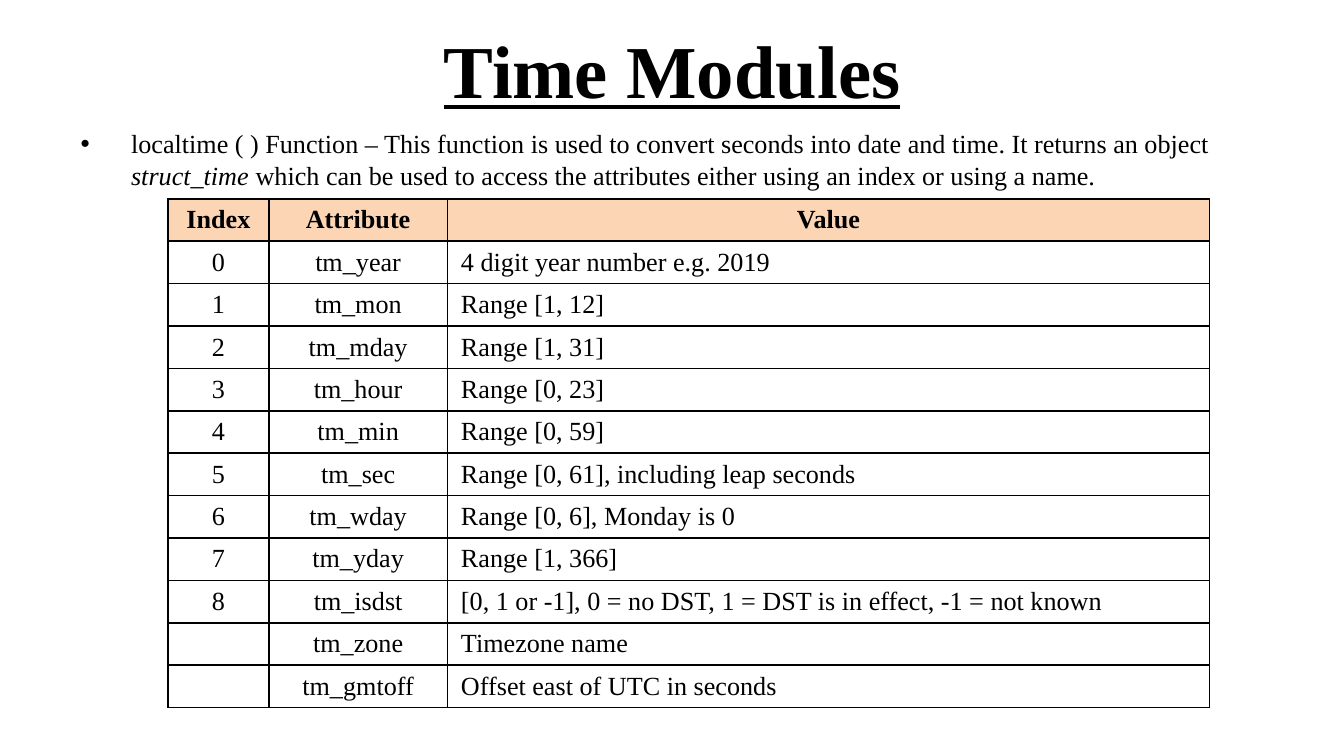
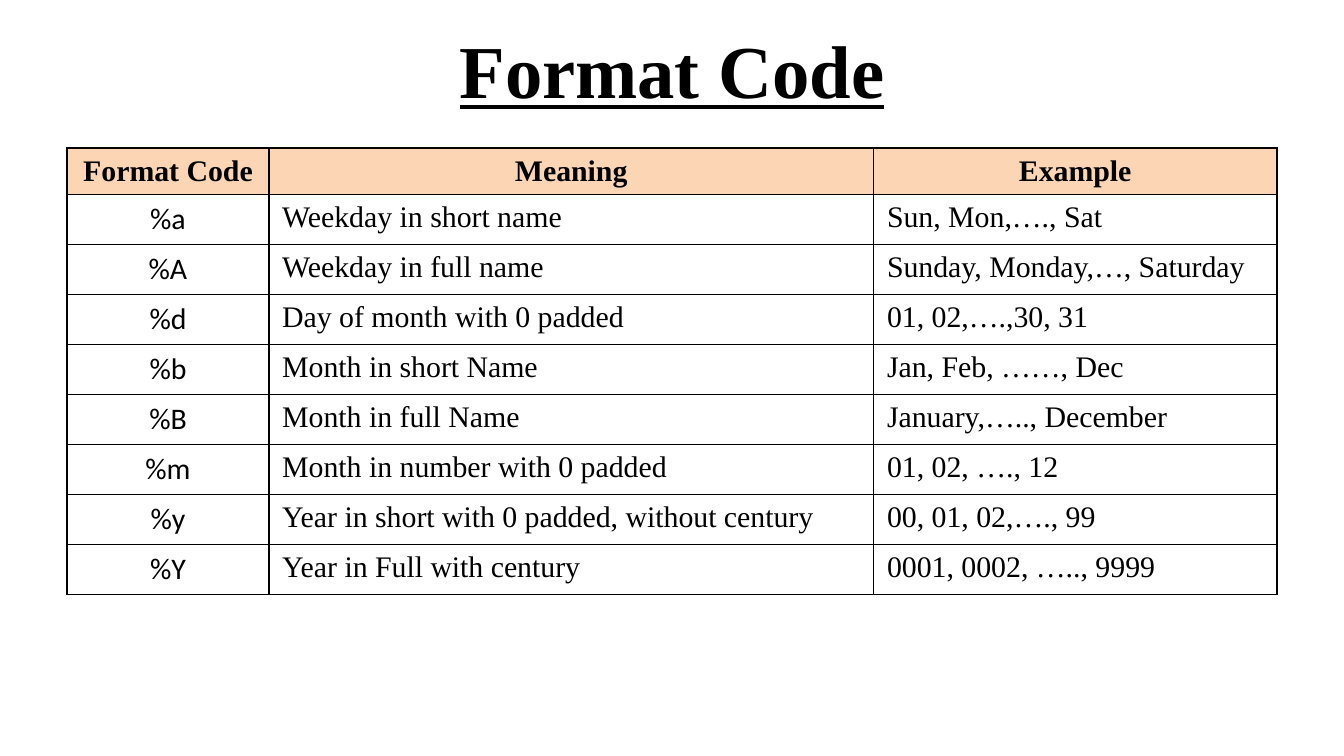
from lxml import etree
from pptx import Presentation
from pptx import util as u
from pptx.dml.color import RGBColor
from pptx.enum import text
from pptx.oxml.ns import qn

SERIF, SANS = "Times New Roman", "Calibri"


def rgb(value):
    return RGBColor.from_string(value)


def add_text(p, content, size=14, font=SERIF, color="000000",
             bold=False, italic=False, underline=False):
    r = p.add_run()
    r.text = content
    f = r.font
    f.size, f.name = u.Pt(size), font
    f.bold, f.italic, f.underline = bold, italic, underline
    f.color.rgb = rgb(color)


class Deck:
    ink = "000000"
    header_fill = "FCD5B5"

    def __init__(self):
        self.prs = Presentation()
        self.prs.slide_width = u.Inches(10)
        self.prs.slide_height = u.Inches(10) * 9 // 16
        self.s = None

    def place(self, sp, x, y, w, h):
        sp.left, sp.top = u.Inches(x), u.Inches(y)
        sp.width, sp.height = u.Inches(w), u.Inches(h)
        tf = sp.text_frame
        tf.word_wrap = True
        tf.auto_size = text.MSO_AUTO_SIZE.NONE
        return tf

    def slide(self, title, layout):
        self.s = self.prs.slides.add_slide(self.prs.slide_layouts[layout])
        tf = self.place(self.s.shapes.title, 0.5, 0.04, 9, 0.94)
        tf.vertical_anchor = text.MSO_ANCHOR.MIDDLE
        p = tf.paragraphs[0]
        p.alignment = text.PP_ALIGN.CENTER
        add_text(p, title, size=40, bold=True, underline=True)

    def bullet(self, parts, x, y, w, h):
        tf = self.place(self.s.placeholders[1], x, y, w, h)
        p = tf.paragraphs[0]
        p.space_before = u.Pt(0)
        pPr = p._p.get_or_add_pPr()
        pPr.set("marL", str(u.Pt(27)))
        pPr.set("indent", str(-u.Pt(27)))
        etree.SubElement(pPr, qn("a:buChar"), char="•")
        for content, italic in parts:
            add_text(p, content, italic=italic)

    def border(self, cell):
        tcPr = cell._tc.get_or_add_tcPr()
        for i, side in enumerate(("lnL", "lnR", "lnT", "lnB")):
            ln = etree.Element(qn("a:" + side), w=str(u.Pt(1)))
            fill = etree.SubElement(ln, qn("a:solidFill"))
            etree.SubElement(fill, qn("a:srgbClr"), val=self.ink)
            tcPr.insert(i, ln)

    def cell(self, cell, content, size, font, header, centered):
        if header:
            cell.fill.solid()
            cell.fill.fore_color.rgb = rgb(self.header_fill)
        else:
            cell.fill.background()
        self.border(cell)
        p = cell.text_frame.paragraphs[0]
        p.alignment = text.PP_ALIGN.CENTER if centered else text.PP_ALIGN.LEFT
        if content:
            add_text(p, content, size=size, font=font, bold=header)
        else:
            end = etree.SubElement(p._p, qn("a:endParaRPr"),
                                   sz=str(size * 100))
            etree.SubElement(end, qn("a:latin"), typeface=font)

    def table(self, rows, x, y, widths, row_height, size, fonts, centered):
        frame = self.s.shapes.add_table(
            len(rows), len(widths), u.Inches(x), u.Inches(y),
            u.Inches(sum(widths)), u.Inches(row_height * len(rows)))
        tbl = frame.table
        tbl.first_row = tbl.horz_banding = False
        for col, width in zip(tbl.columns, widths):
            col.width = u.Inches(width)
        for i, row in enumerate(rows):
            tbl.rows[i].height = u.Inches(row_height)
            for j, content in enumerate(row):
                header = i == 0
                font = SERIF if header else fonts[j]
                self.cell(tbl.cell(i, j), content, size, font, header,
                          header or j in centered)


TIME_ATTRIBUTES = [
    ("Index", "Attribute", "Value"),
    ("0", "tm_year", "4 digit year number e.g. 2019"),
    ("1", "tm_mon", "Range [1, 12]"),
    ("2", "tm_mday", "Range [1, 31]"),
    ("3", "tm_hour", "Range [0, 23]"),
    ("4", "tm_min", "Range [0, 59]"),
    ("5", "tm_sec", "Range [0, 61], including leap seconds"),
    ("6", "tm_wday", "Range [0, 6], Monday is 0"),
    ("7", "tm_yday", "Range [1, 366]"),
    ("8", "tm_isdst",
     "[0, 1 or -1], 0 = no DST, 1 = DST is in effect, -1 = not known"),
    ("", "tm_zone", "Timezone name"),
    ("", "tm_gmtoff", "Offset east of UTC in seconds"),
]

FORMAT_CODES = [
    ("Format Code", "Meaning", "Example"),
    ("%a", "Weekday in short name", "Sun, Mon,…., Sat"),
    ("%A", "Weekday in full name", "Sunday, Monday,…, Saturday"),
    ("%d", "Day of month with 0 padded", "01, 02,….,30, 31"),
    ("%b", "Month in short Name", "Jan, Feb, ……, Dec"),
    ("%B", "Month in full Name", "January,….., December"),
    ("%m", "Month in number with 0 padded", "01, 02, …., 12"),
    ("%y", "Year in short with 0 padded, without century",
     "00, 01, 02,…., 99"),
    ("%Y", "Year in Full with century", "0001, 0002, ….., 9999"),
]


def main():
    deck = Deck()

    deck.slide("Time Modules", layout=1)
    deck.bullet([
        ("localtime ( ) Function – This function is used to convert seconds "
         "into date and time. It returns an object ", False),
        ("struct_time", True),
        (" which can be used to access the attributes either using an index "
         "or using a name.", False),
    ], 0.5, 0.9, 9, 1.33)
    deck.table(TIME_ATTRIBUTES, 1.25, 1.48, (0.75, 1.33, 5.67), 0.28,
               size=14, fonts=(SERIF, SERIF, SERIF), centered=(0, 1))

    deck.slide("Format Code", layout=5)
    deck.table(FORMAT_CODES, 0.5, 1.1, (1.5, 4.5, 3), 0.25,
               size=16, fonts=(SANS, SERIF, SERIF), centered=(0,))

    deck.prs.save("out.pptx")


if __name__ == "__main__":
    main()
